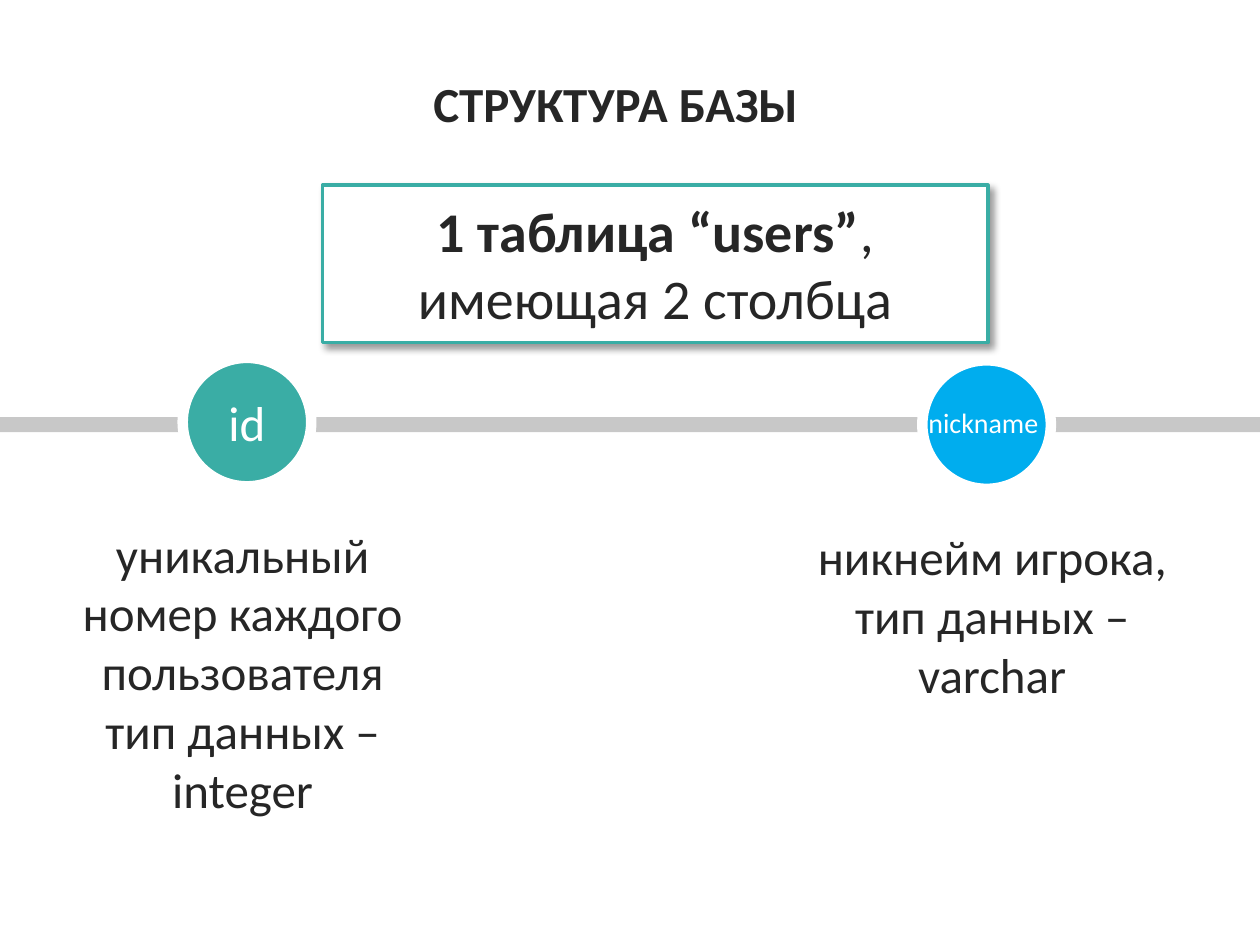
import pptx
import pptx.util
import pptx.dml.color
import pptx.enum.shapes
import pptx.enum.text
import pptx.oxml
import pptx.oxml.ns

deck = pptx.Presentation()
deck.slide_width = pptx.util.Inches(10)
deck.slide_height = pptx.util.Inches(7.5)
slide = deck.slides.add_slide(deck.slide_layouts[6])
kinds = pptx.enum.shapes.MSO_SHAPE
anchor = pptx.enum.text.MSO_ANCHOR
align = pptx.enum.text.PP_ALIGN
dark, teal, white = "262626", "3AADA5", "FFFFFF"


def color(code):
    return pptx.dml.color.RGBColor.from_string(code)


def add(kind, box, paras=(), size=28, ink=dark, fill=None, line=None,
        mid=True, center=True):
    """Places a shape (or a text box if kind is None); box is in % of the slide."""
    wide, high = deck.slide_width / 100, deck.slide_height / 100
    place = [int(part * unit) for part, unit in zip(box, (wide, high) * 2)]
    if kind is None:
        shape = slide.shapes.add_textbox(*place)
    else:
        shape = slide.shapes.add_shape(kind, *place)
        shape.shadow.inherit = False
        shape.fill.solid()
        shape.fill.fore_color.rgb = color(fill)
        if line:
            shape.line.color.rgb = color(line[0])
            shape.line.width = pptx.util.Pt(line[1])
        else:
            shape.line.fill.background()
    frame = shape.text_frame
    frame.word_wrap = True
    frame.vertical_anchor = anchor.MIDDLE if mid else anchor.TOP
    for i, runs in enumerate(paras):
        para = frame.add_paragraph() if i else frame.paragraphs[0]
        para.alignment = align.CENTER if center else align.LEFT
        for text, bold in runs:
            run = para.add_run()
            run.text = text
            run.font.name = "Calibri"
            run.font.size = pptx.util.Pt(size)
            run.font.bold = bold
            run.font.color.rgb = color(ink)
    return shape


# Title
add(None, (4.3, 5.87, 89.1, 10.13), [[("СТРУКТУРА БАЗЫ", True)]])

# Axis with a circle for each column of the table
add(kinds.RECTANGLE, (0, 44.13, 100, 1.6), fill="C8C8C8")
for left, top, fill, label in ((14.5, 37.87, teal, [[("id", False)]]),
                               (73.2, 38.13, "00ADEE", [])):
    add(kinds.OVAL, (left, top, 10.2, 13.6), label, ink=white,
        fill=fill, line=(white, 6))
add(None, (72.7, 42.27, 11.9, 4.93), [[("nickname", False)]], size=16,
    ink=white, mid=False, center=False)

# Notes under the circles
add(None, (5.5, 54.8, 27.5, 32.8),
    [[("уникальный номер каждого пользователя", False)],
     [("тип данных – integer", False)]], mid=False)
add(None, (62.6, 55.07, 32.3, 20.13),
    [[("никнейм игрока, тип данных – varchar", False)]], mid=False)

# Framed summary with a soft shadow
card = add(kinds.RECTANGLE, (25.6, 19.6, 52.8, 16.67),
           [[("1 таблица “users”", True), (", имеющая 2 столбца", False)]],
           size=32, fill=white, line=(teal, 2))
glow = card.element.spPr.find(pptx.oxml.ns.qn("a:effectLst"))
glow.append(pptx.oxml.parse_xml(
    f'<a:outerShdw {pptx.oxml.ns.nsdecls("a")} blurRad="{pptx.util.Pt(4)}" '
    f'dist="{pptx.util.Pt(3)}" dir="2700000" algn="tl" rotWithShape="0">'
    '<a:srgbClr val="000000"><a:alpha val="40000"/></a:srgbClr></a:outerShdw>'))

deck.save("out.pptx")
